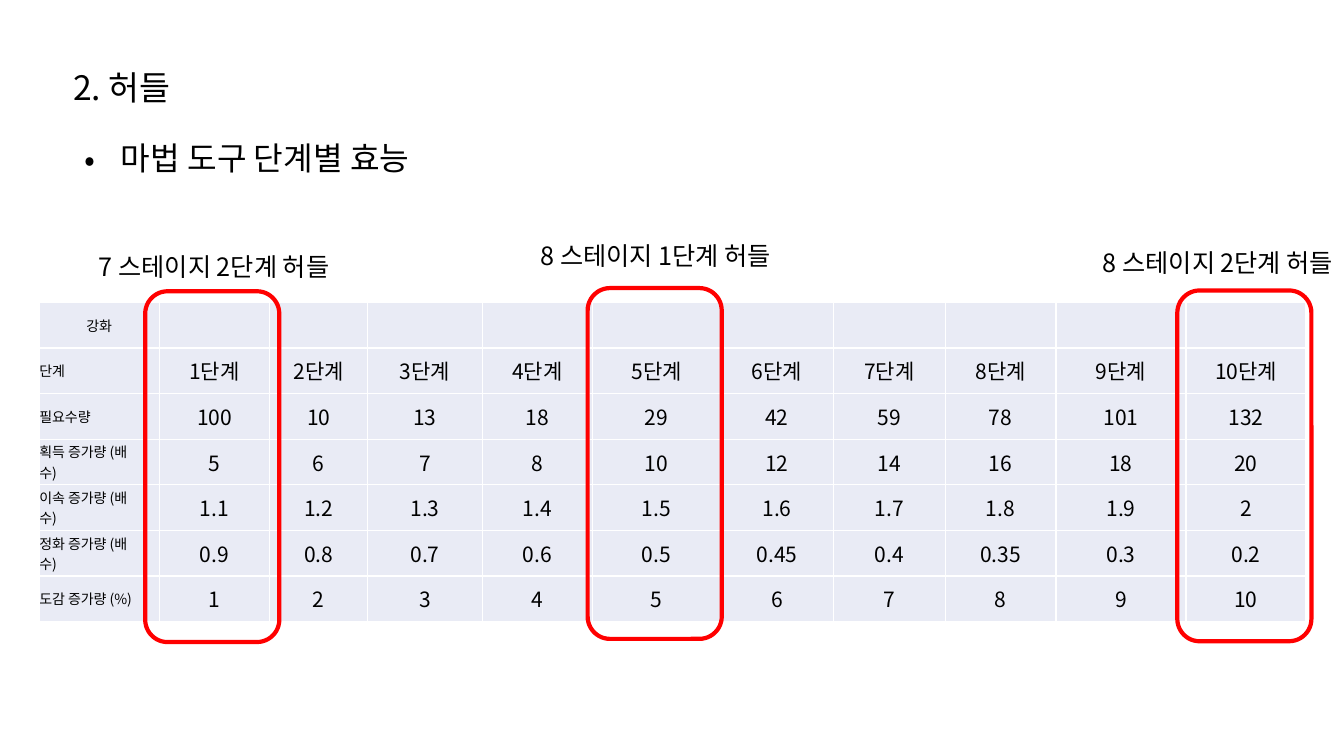
from dataclasses import dataclass

import pptx
import pptx.dml.color
import pptx.enum.shapes
import pptx.enum.text
import pptx.oxml
import pptx.oxml.ns
import pptx.util
from pptx.util import Cm


@dataclass(frozen=True)
class Theme:
    font: str = "Noto Sans CJK KR"
    text: str = "000000"
    cell: str = "E9EBF5"
    grid: str = "FFFFFF"
    mark: str = "FF0000"
    title: int = 24
    subtitle: int = 23
    label: int = 18
    value: int = 15
    head: int = 10


@dataclass(frozen=True)
class Text:
    text: str
    left: float
    top: float
    width: float
    height: float
    size: int
    centred: bool = False
    bullet: bool = False


@dataclass(frozen=True)
class Hurdle:
    text: str
    label_left: float
    label_top: float
    frame_left: float
    frame_top: float


THEME = Theme()
ALIGN = pptx.enum.text.PP_ALIGN
LABEL_WIDTH, LABEL_HEIGHT = 7.59, 1.02
FRAME_WIDTH, FRAME_HEIGHT = 3.38, 8.84
BULLET_MARGIN, BULLET_HANG = 1.2, 0.92

HEADINGS = [
    Text("2. 허들", 1.6, 1.57, 4.9, 1.27, THEME.title),
    Text("마법 도구 단계별 효능", 1.6, 3.35, 30.48, 1.24, THEME.subtitle, bullet=True),
]
HURDLES = [
    Hurdle("8 스테이지 1단계 허들", 12.73, 5.94, 14.81, 7.26),
    Hurdle("8 스테이지 2단계 허들", 26.9, 6.1, 29.67, 7.32),
    Hurdle("7 스테이지 2단계 허들", 1.6, 6.2, 3.66, 7.34),
]

TABLE_LEFT, TABLE_TOP, ROW_HEIGHT = 0.99, 7.62, 1.15
ROW_NAME_MARGIN = 0.45  # keeps row names clear of the first frame
COLUMN_WIDTHS = [3.02, 2.79, 2.46, 2.9, 2.77, 3.23, 2.84, 2.82, 2.79, 3.28, 3.02]
STEPS = range(1, 11)
ROWS = [
    ["강화"] + [""] * len(STEPS),
    ["단계"] + [f"{n}단계" for n in STEPS],
    ["필요수량", 100, 10, 13, 18, 29, 42, 59, 78, 101, 132],
    ["획득 증가량 (배수)", 5, 6, 7, 8, 10, 12, 14, 16, 18, 20],
    ["이속 증가량 (배수)", 1.1, 1.2, 1.3, 1.4, 1.5, 1.6, 1.7, 1.8, 1.9, 2],
    ["정화 증가량 (배수)", 0.9, 0.8, 0.7, 0.6, 0.5, 0.45, 0.4, 0.35, 0.3, 0.2],
    ["도감 증가량 (%)", *STEPS],
]


def rgb(value: str) -> pptx.dml.color.RGBColor:
    return pptx.dml.color.RGBColor.from_string(value)


def apply(target, values: dict) -> None:
    for name, value in values.items():
        setattr(target, name, value)


def write(p, text: str, size: int, align) -> None:
    p.alignment = align
    r = p.add_run()
    r.text = text
    apply(r.font, {"name": THEME.font, "size": pptx.util.Pt(size)})
    r.font.color.rgb = rgb(THEME.text)
    # Hangul takes the East Asian typeface
    ea = pptx.oxml.parse_xml(
        f'<a:ea {pptx.oxml.ns.nsdecls("a")} typeface="{THEME.font}"/>')
    r.font._element.append(ea)


def add_bullet(p) -> None:
    pPr = p._p.get_or_add_pPr()
    pPr.set("marL", str(Cm(BULLET_MARGIN)))
    pPr.set("indent", str(-Cm(BULLET_HANG)))
    for tag in (f'buFont {{}} typeface="{THEME.font}"', 'buChar {} char="•"'):
        pPr.append(pptx.oxml.parse_xml(
            f'<a:{tag.format(pptx.oxml.ns.nsdecls("a"))}/>'))


def add_text(s, item: Text) -> None:
    sp = s.shapes.add_textbox(
        Cm(item.left), Cm(item.top), Cm(item.width), Cm(item.height))
    tf = sp.text_frame
    apply(tf, {"word_wrap": True,
               "auto_size": pptx.enum.text.MSO_AUTO_SIZE.SHAPE_TO_FIT_TEXT})
    p = tf.paragraphs[0]
    write(p, item.text, item.size, ALIGN.CENTER if item.centred else ALIGN.LEFT)
    if item.bullet:
        add_bullet(p)


def style_cell(cell, margin_right: float) -> None:
    apply(cell, {"margin_left": 0, "margin_right": Cm(margin_right),
                 "margin_top": 0, "margin_bottom": 0,
                 "vertical_anchor": pptx.enum.text.MSO_ANCHOR.MIDDLE})
    tcPr = cell._tc.get_or_add_tcPr()
    for side in "LRTB":
        tcPr.append(pptx.oxml.parse_xml(
            f'<a:ln{side} {pptx.oxml.ns.nsdecls("a")} w="{pptx.util.Pt(1)}">'
            f'<a:solidFill><a:srgbClr val="{THEME.grid}"/></a:solidFill>'
            f'</a:ln{side}>'))
    cell.fill.solid()
    cell.fill.fore_color.rgb = rgb(THEME.cell)


def add_effect_table(s) -> None:
    table = s.shapes.add_table(
        len(ROWS), len(COLUMN_WIDTHS), Cm(TABLE_LEFT), Cm(TABLE_TOP),
        Cm(sum(COLUMN_WIDTHS)), Cm(ROW_HEIGHT * len(ROWS))).table
    apply(table, {"first_row": False, "horz_banding": False})
    for column, width in zip(table.columns, COLUMN_WIDTHS):
        column.width = Cm(width)
    for i, values in enumerate(ROWS):
        table.rows[i].height = Cm(ROW_HEIGHT)
        for j, value in enumerate(values):
            cell = table.cell(i, j)
            row_name = j == 0 and i > 0
            style_cell(cell, ROW_NAME_MARGIN if row_name else 0)
            if value == "":
                continue
            write(cell.text_frame.paragraphs[0], str(value),
                  THEME.head if j == 0 else THEME.value,
                  ALIGN.LEFT if row_name else ALIGN.CENTER)


def add_hurdle(s, item: Hurdle) -> None:
    sp = s.shapes.add_shape(
        pptx.enum.shapes.MSO_SHAPE.ROUNDED_RECTANGLE, Cm(item.frame_left),
        Cm(item.frame_top), Cm(FRAME_WIDTH), Cm(FRAME_HEIGHT))
    sp.shadow.inherit = False
    sp.fill.background()
    sp.line.color.rgb = rgb(THEME.mark)
    sp.line.width = pptx.util.Pt(3)
    add_text(s, Text(item.text, item.label_left, item.label_top, LABEL_WIDTH,
                     LABEL_HEIGHT, THEME.label, centred=True))


def main() -> None:
    prs = pptx.Presentation()
    apply(prs, {"slide_width": Cm(33.87), "slide_height": Cm(19.05)})
    s = prs.slides.add_slide(prs.slide_layouts[6])

    # Headings
    for heading in HEADINGS:
        add_text(s, heading)

    # Effect of each tool step
    add_effect_table(s)

    # Framed hurdle steps with their labels
    for hurdle in HURDLES:
        add_hurdle(s, hurdle)

    prs.save("out.pptx")


if __name__ == "__main__":
    main()
